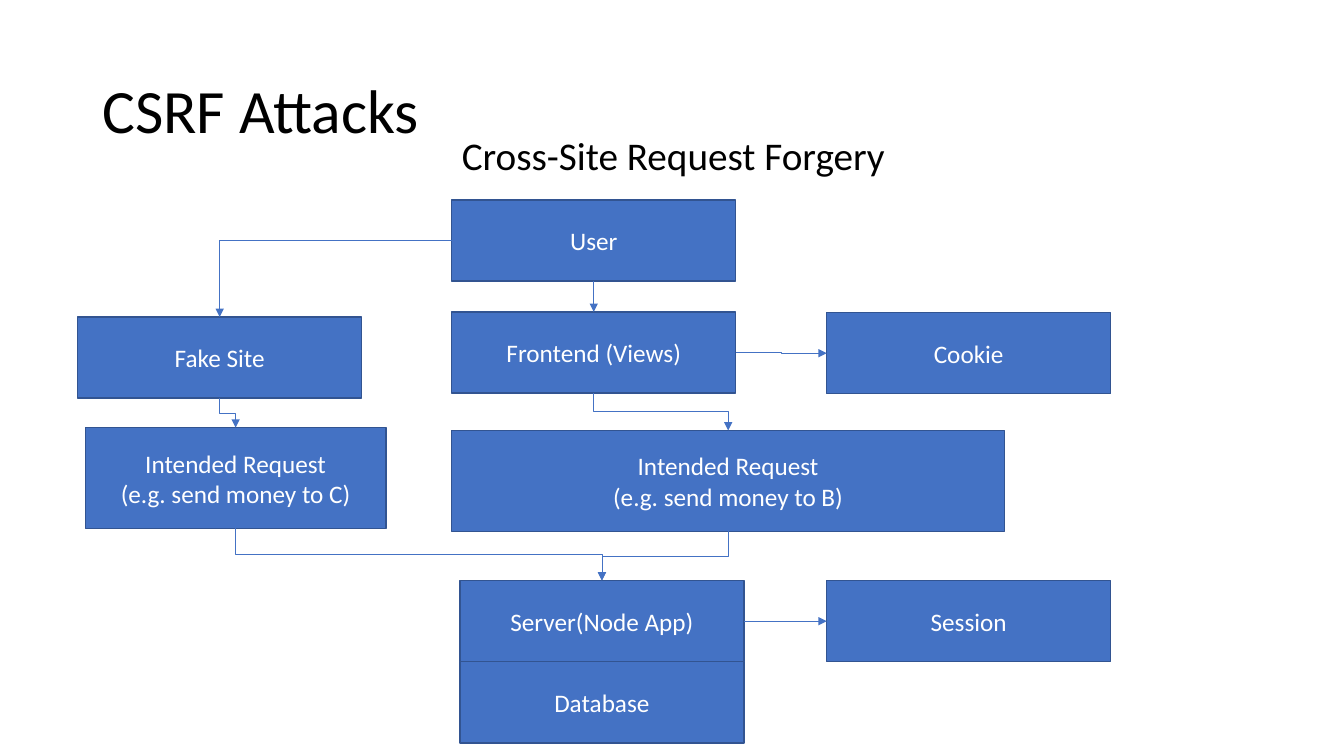
from lxml.etree import SubElement
from pptx import Presentation
from pptx.dml.color import RGBColor
from pptx.enum.shapes import MSO_CONNECTOR, MSO_SHAPE
from pptx.enum.text import MSO_ANCHOR, MSO_AUTO_SIZE, PP_ALIGN
from pptx.oxml.ns import qn
from pptx.util import Pt

FONT = "Calibri"
BLACK = RGBColor(0x00, 0x00, 0x00)
WHITE = RGBColor(0xFF, 0xFF, 0xFF)
BLUE = RGBColor(0x44, 0x72, 0xC4)
DARK_BLUE = RGBColor(0x32, 0x54, 0x91)

TOP, LEFT, BOTTOM, RIGHT = range(4)  # connection sites of a rectangle

BOX_WIDTH, BOX_HEIGHT, REQUEST_HEIGHT = 202.9, 58, 72
MAIN_X, SERVER_X, STORE_X = 322.7, 328.5, 590.5
FRONTEND_Y, SERVER_Y = 222.8, 414.7

BOXES = {
    "user": ("User", MAIN_X, 142.8, BOX_WIDTH, BOX_HEIGHT),
    "frontend": ("Frontend (Views)", MAIN_X, FRONTEND_Y, BOX_WIDTH, BOX_HEIGHT),
    "cookie": ("Cookie", STORE_X, FRONTEND_Y + 0.5, BOX_WIDTH, BOX_HEIGHT),
    "server": ("Server(Node App)", SERVER_X, SERVER_Y, BOX_WIDTH, BOX_HEIGHT),
    "database": ("Database", SERVER_X, SERVER_Y + BOX_HEIGHT, BOX_WIDTH, BOX_HEIGHT),
    "session": ("Session", STORE_X, SERVER_Y, BOX_WIDTH, BOX_HEIGHT),
    "request": ("Intended Request\n(e.g. send money to B)",
                MAIN_X, 307.5, 394.8, REQUEST_HEIGHT),
    "fake_site": ("Fake Site", 55.5, 226.4, BOX_WIDTH, BOX_HEIGHT),
    "fake_request": ("Intended Request\n(e.g. send money to C)",
                     61, 305.5, 214.7, REQUEST_HEIGHT),
}

ARROWS = [
    ("user", BOTTOM, "frontend", TOP),
    ("frontend", BOTTOM, "request", TOP),
    ("request", BOTTOM, "server", TOP),
    ("server", RIGHT, "session", LEFT),
    ("frontend", RIGHT, "cookie", LEFT),
    ("user", LEFT, "fake_site", TOP),
    ("fake_site", BOTTOM, "fake_request", TOP),
    ("fake_request", BOTTOM, "server", TOP),
]


def place(shape, left, top, width, height):
    shape.left, shape.top = Pt(left), Pt(top)
    shape.width, shape.height = Pt(width), Pt(height)


def format_text(frame, size, color, align, anchor):
    frame.word_wrap = True
    frame.auto_size = MSO_AUTO_SIZE.NONE
    frame.vertical_anchor = anchor
    for paragraph in frame.paragraphs:
        paragraph.alignment = align
        for run in paragraph.runs:
            run.font.name = FONT
            run.font.size = Pt(size)
            run.font.color.rgb = color


def fill_title(title):
    place(title, 66, 28.8, 828, 104.4)
    title.text_frame.text = "CSRF Attacks"
    format_text(title.text_frame, 44, BLACK, PP_ALIGN.LEFT, MSO_ANCHOR.MIDDLE)
    title.text_frame.paragraphs[0].line_spacing = 0.9


def fill_subtitle(body):
    place(body, MAIN_X, 96.5, 357, 36.7)
    body.text_frame.text = "Cross-Site Request Forgery"
    format_text(body.text_frame, 28, BLACK, PP_ALIGN.LEFT, MSO_ANCHOR.TOP)
    paragraph = body.text_frame.paragraphs[0]
    paragraph.line_spacing = 0.8
    paragraph.space_before = Pt(10)
    properties = paragraph._p.get_or_add_pPr()
    properties.set("marL", "0")
    properties.set("indent", "0")
    SubElement(properties, qn("a:buNone"))


def add_box(slide, label, left, top, width, height):
    box = slide.shapes.add_shape(
        MSO_SHAPE.RECTANGLE, Pt(left), Pt(top), Pt(width), Pt(height))
    box.shadow.inherit = False
    box.fill.solid()
    box.fill.fore_color.rgb = BLUE
    box.line.color.rgb = DARK_BLUE
    box.line.width = Pt(1)
    box.text_frame.text = label
    format_text(box.text_frame, 18, WHITE, PP_ALIGN.CENTER, MSO_ANCHOR.MIDDLE)
    return box


def turn_downward(arrow):
    """Rotate an elbow about its centre so that it leaves and arrives vertically."""
    run, drop = arrow.end_x - arrow.begin_x, arrow.end_y - arrow.begin_y
    center_x = (arrow.begin_x + arrow.end_x) // 2
    center_y = (arrow.begin_y + arrow.end_y) // 2
    arrow.width, arrow.height = drop, abs(run)
    arrow.left, arrow.top = center_x - drop // 2, center_y - abs(run) // 2
    transform = arrow._element.spPr.find(qn("a:xfrm"))
    goes_right = run > 0
    transform.set("rot", str((270 if goes_right else 90) * 60000))
    transform.set("flipH", "1" if goes_right else "0")


def add_arrow(slide, source, source_site, target, target_site):
    arrow = slide.shapes.add_connector(MSO_CONNECTOR.ELBOW, 0, 0, 0, 0)
    arrow.begin_connect(source, source_site)
    arrow.end_connect(target, target_site)
    properties = arrow._element.spPr
    if source_site == BOTTOM:
        turn_downward(arrow)
    elif target_site == TOP:
        properties.find(qn("a:prstGeom")).set("prst", "bentConnector2")
    arrow.line.color.rgb = BLUE
    arrow.line.width = Pt(0.5)
    SubElement(properties.find(qn("a:ln")), qn("a:tailEnd"), type="triangle")
    SubElement(properties, qn("a:effectLst"))


def main():
    deck = Presentation()
    deck.slide_width, deck.slide_height = Pt(960), Pt(540)
    slide = deck.slides.add_slide(deck.slide_layouts[1])
    fill_title(slide.shapes.title)
    fill_subtitle(slide.placeholders[1])
    boxes = {key: add_box(slide, *details) for key, details in BOXES.items()}
    for source, source_site, target, target_site in ARROWS:
        add_arrow(slide, boxes[source], source_site, boxes[target], target_site)
    deck.save("out.pptx")


if __name__ == "__main__":
    main()
